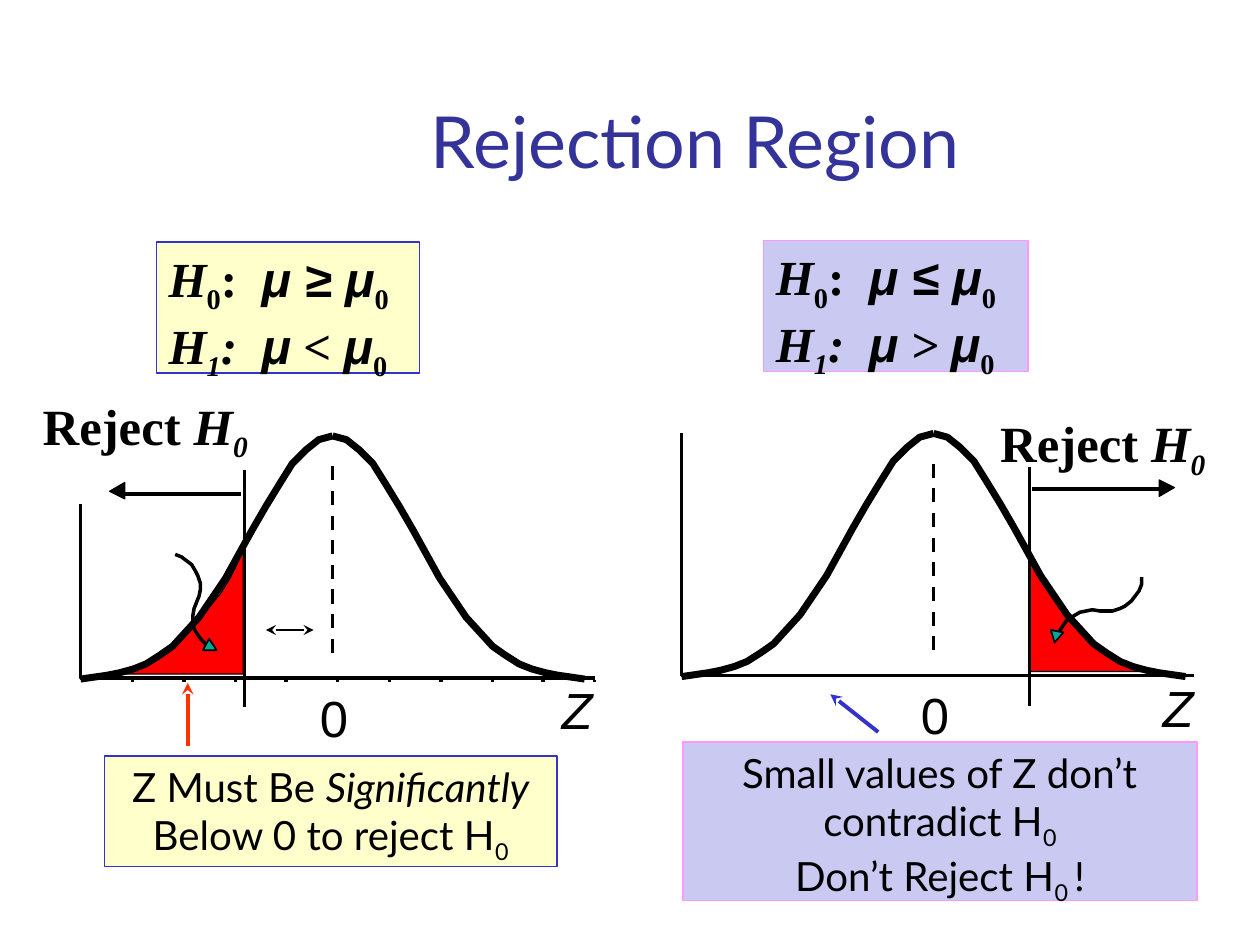
"""Builds a slide comparing lower-tail and upper-tail rejection regions."""
from dataclasses import dataclass
from typing import Optional

from lxml import etree
from pptx import Presentation
from pptx.dml.color import RGBColor
from pptx.enum.dml import MSO_LINE
from pptx.enum.shapes import MSO_CONNECTOR, MSO_SHAPE
from pptx.enum.text import MSO_ANCHOR, PP_ALIGN
from pptx.oxml.ns import qn
from pptx.util import Pt

PX = 9144
STRAIGHT = MSO_CONNECTOR.STRAIGHT
RECTANGLE = MSO_SHAPE.RECTANGLE
DASH = MSO_LINE.DASH
TOP, BOTTOM = MSO_ANCHOR.TOP, MSO_ANCHOR.BOTTOM
LEFT, CENTER = PP_ALIGN.LEFT, PP_ALIGN.CENTER
SERIF, SANS, BODY = "Times New Roman", "Arial", "Lato"
BLACK, RED, TEAL, BLUE = "000000", "FF0000", "00A898", "3333CC"
Point = tuple[int, int]
Box = tuple[int, int, int, int]

HALF_BELL = [(200, 193), (179, 190), (169, 188), (158, 185), (148, 181), (137, 174),
             (127, 167), (106, 144), (85, 113), (64, 75), (53, 56), (42, 38),
             (32, 22), (21, 11), (11, 3), (0, 0)]
TICK_COUNT, TICK_STEP = 10, 40.8


@dataclass
class Piece:
    text: str
    italic: bool = False
    sub: bool = False
    font: Optional[str] = None


@dataclass
class Style:
    size: int
    font: str
    color: str = BLACK
    bold: bool = False
    align: int = LEFT
    anchor: int = TOP
    wrap: bool = True


@dataclass
class Panel:
    center: int
    peak: int
    axis_top: int
    axis_bottom: int
    axis_right: int
    first_tick: int
    tick_length: int
    tail: list[Point]
    pointer: list[Point]
    pointer_tip: list[Point]
    reject_box: Box
    reject_wrap: bool
    reject_line: tuple[Point, Point]
    reject_tip: list[Point]
    cutoff: tuple[Point, Point]
    hypothesis_box: Box
    relations: tuple[str, str]
    conclusion_box: Box
    conclusion: list[Piece]
    fill: str
    border: str


LOWER = Panel(
    center=264, peak=346, axis_top=400, axis_bottom=538, axis_right=472,
    first_tick=105, tick_length=1,
    tail=[(193, 436), (193, 535), (95, 535), (107, 530), (118, 524), (129, 516), (140, 509),
          (149, 500), (159, 491), (167, 481), (175, 471), (182, 460), (188, 448)],
    pointer=[(139, 440), (144, 442), (148, 445), (152, 448), (155, 453), (157, 457),
             (159, 463), (159, 468), (158, 473), (156, 478), (154, 483), (153, 489),
             (153, 494), (154, 499), (157, 504), (160, 508), (164, 512)],
    pointer_tip=[(166, 507), (172, 516), (161, 516)],
    reject_box=(24, 308, 201, 58), reject_wrap=True,
    reject_line=((99, 392), (191, 392)), reject_tip=[(99, 383), (87, 390), (99, 396)],
    cutoff=((194, 561), (194, 373)),
    hypothesis_box=(124, 192, 209, 104), relations=("≥", "<"),
    conclusion_box=(83, 600, 359, 88),
    conclusion=[Piece("Z Must Be "), Piece("Significantly", italic=True),
                Piece(" Below 0 to reject H"), Piece("0", sub=True)],
    fill="FFFFCC", border=BLUE)

UPPER = Panel(
    center=741, peak=344, axis_top=344, axis_bottom=536, axis_right=948,
    first_tick=581, tick_length=0,
    tail=[(817, 439), (817, 533), (910, 533), (898, 528), (888, 522), (877, 516), (867, 508),
          (858, 500), (849, 491), (841, 482), (834, 472), (827, 461), (822, 451)],
    pointer=[(906, 458), (906, 464), (904, 469), (901, 473), (898, 477), (893, 481),
             (889, 483), (883, 485), (878, 485), (873, 485), (867, 484), (862, 485),
             (857, 486), (852, 489), (847, 492), (844, 496), (841, 501)],
    pointer_tip=[(844, 502), (837, 510), (834, 500)],
    reject_box=(784, 322, 184, 58), reject_wrap=False,
    reject_line=((924, 388), (819, 388)), reject_tip=[(920, 394), (932, 387), (920, 381)],
    cutoff=((817, 560), (817, 371)),
    hypothesis_box=(606, 191, 210, 104), relations=("≤", ">"),
    conclusion_box=(542, 589, 408, 126),
    conclusion=[Piece("Small values of Z don’t contradict H"), Piece("0", sub=True),
                Piece("\n"), Piece("Don’t Reject H"), Piece("0 ", sub=True), Piece("!")],
    fill="C9C9F1", border="FF99FF")


def rgb(color: str) -> RGBColor:
    return RGBColor.from_string(color)


def set_line(line, color: str, width: float) -> None:
    line.color.rgb = rgb(color)
    line.width = Pt(width)


def add_line(slide, start: Point, end: Point, color=BLACK, width=2.0, dash=None, ends=()):
    ends_px = [value * PX for value in (*start, *end)]
    line = slide.shapes.add_connector(STRAIGHT, *ends_px)
    set_line(line.line, color, width)
    if dash:
        line.line.dash_style = dash
    properties = line._element.spPr
    for end_tag in ends:
        etree.SubElement(properties.get_or_add_ln(), qn(end_tag), type="stealth")
    etree.SubElement(properties, qn("a:effectLst"))


def add_outline(slide, points: list[Point], width: float, fill: Optional[str] = None) -> None:
    builder = slide.shapes.build_freeform(*points[0], scale=PX)
    builder.add_line_segments(points[1:], close=fill is not None)
    outline = builder.convert_to_shape()
    outline.shadow.inherit = False
    set_line(outline.line, BLACK, width)
    if fill:
        outline.fill.solid()
        outline.fill.fore_color.rgb = rgb(fill)
    else:
        outline.fill.background()


def write(shape, pieces: list[Piece], style: Style) -> None:
    frame = shape.text_frame
    frame.word_wrap = style.wrap
    frame.vertical_anchor = style.anchor
    paragraph = frame.paragraphs[0]
    paragraph.alignment = style.align
    font = paragraph.font
    font.size, font.name, font.bold = Pt(style.size), style.font, style.bold
    font.color.rgb = rgb(style.color)
    for piece in pieces:
        if piece.text == "\n":
            paragraph.add_line_break()
            continue
        run = paragraph.add_run()
        run.text = piece.text
        if piece.italic:
            run.font.italic = True
        if piece.font:
            run.font.name = piece.font
        if piece.sub:
            run.font._element.set("baseline", "-25000")


def add_label(slide, box: Box, pieces: list[Piece], style: Style) -> None:
    write(slide.shapes.add_textbox(*(value * PX for value in box)), pieces, style)


def add_card(slide, box: Box, pieces: list[Piece], style: Style, panel: Panel) -> None:
    card = slide.shapes.add_shape(RECTANGLE, *(value * PX for value in box))
    card.shadow.inherit = False
    card.fill.solid()
    card.fill.fore_color.rgb = rgb(panel.fill)
    set_line(card.line, panel.border, 0.75)
    write(card, pieces, style)


def hypotheses(null_sign: str, other_sign: str) -> list[Piece]:
    zero = Piece("0", sub=True)
    return [Piece("H", italic=True), zero, Piece(":  "),
            Piece(f"μ {null_sign} μ", italic=True, font=SANS), zero,
            Piece(" H", italic=True), Piece("1", italic=True, sub=True),
            Piece(":  ", italic=True), Piece("μ", italic=True, font=SANS),
            Piece(f" {other_sign} ", italic=True), Piece("μ", italic=True, font=SANS), zero]


def draw_panel(slide, panel: Panel) -> None:
    center, peak = panel.center, panel.peak
    add_line(slide, (center, peak + 24), (center, peak + 175), dash=DASH)
    add_outline(slide, panel.tail, 0.75, RED)
    for side in (1, -1):
        add_outline(slide, [(center + side * x, peak + y) for x, y in HALF_BELL], 4)
    origin = center - 200
    add_outline(slide, [(origin, panel.axis_top), (origin, panel.axis_bottom),
                        (panel.axis_right, panel.axis_bottom)], 2)
    tick_top = peak + 194
    for index in range(TICK_COUNT):
        x = panel.first_tick + round(index * TICK_STEP)
        add_line(slide, (x, tick_top), (x, tick_top + panel.tick_length))
    axis_style = Style(29, SANS, wrap=False)
    add_label(slide, (center + 172, peak + 188, 44, 58), [Piece("Z", italic=True)], axis_style)
    add_label(slide, (center - 20, peak + 194, 42, 58), [Piece("0")], axis_style)
    add_outline(slide, panel.pointer, 2)
    add_outline(slide, panel.pointer_tip, 1, TEAL)
    add_label(slide, panel.reject_box,
              [Piece("Reject "), Piece("H", italic=True), Piece("0", italic=True, sub=True)],
              Style(29, SERIF, bold=True, wrap=panel.reject_wrap))
    add_line(slide, *panel.reject_line)
    add_outline(slide, panel.reject_tip, 0.75, BLACK)
    add_line(slide, *panel.cutoff)
    add_card(slide, panel.hypothesis_box, hypotheses(*panel.relations),
             Style(28, SERIF, bold=True), panel)
    add_card(slide, panel.conclusion_box, panel.conclusion, Style(23, BODY, align=CENTER), panel)


def main() -> None:
    deck = Presentation()
    deck.slide_width, deck.slide_height = 1000 * PX, 750 * PX
    slide = deck.slides.add_slide(deck.slide_layouts[6])
    add_label(slide, (126, 25, 852, 125), [Piece("Rejection Region")],
              Style(41, BODY, "333399", align=CENTER, anchor=BOTTOM))
    for panel in (UPPER, LOWER):
        draw_panel(slide, panel)
    add_line(slide, (211, 500), (249, 500), width=1, ends=("a:headEnd", "a:tailEnd"))
    add_line(slide, (149, 542), (149, 592), "FF3300", 2.25, ends=("a:headEnd",))
    add_line(slide, (659, 551), (697, 581), BLUE, 2.25, ends=("a:headEnd",))
    deck.save("out.pptx")


if __name__ == "__main__":
    main()
